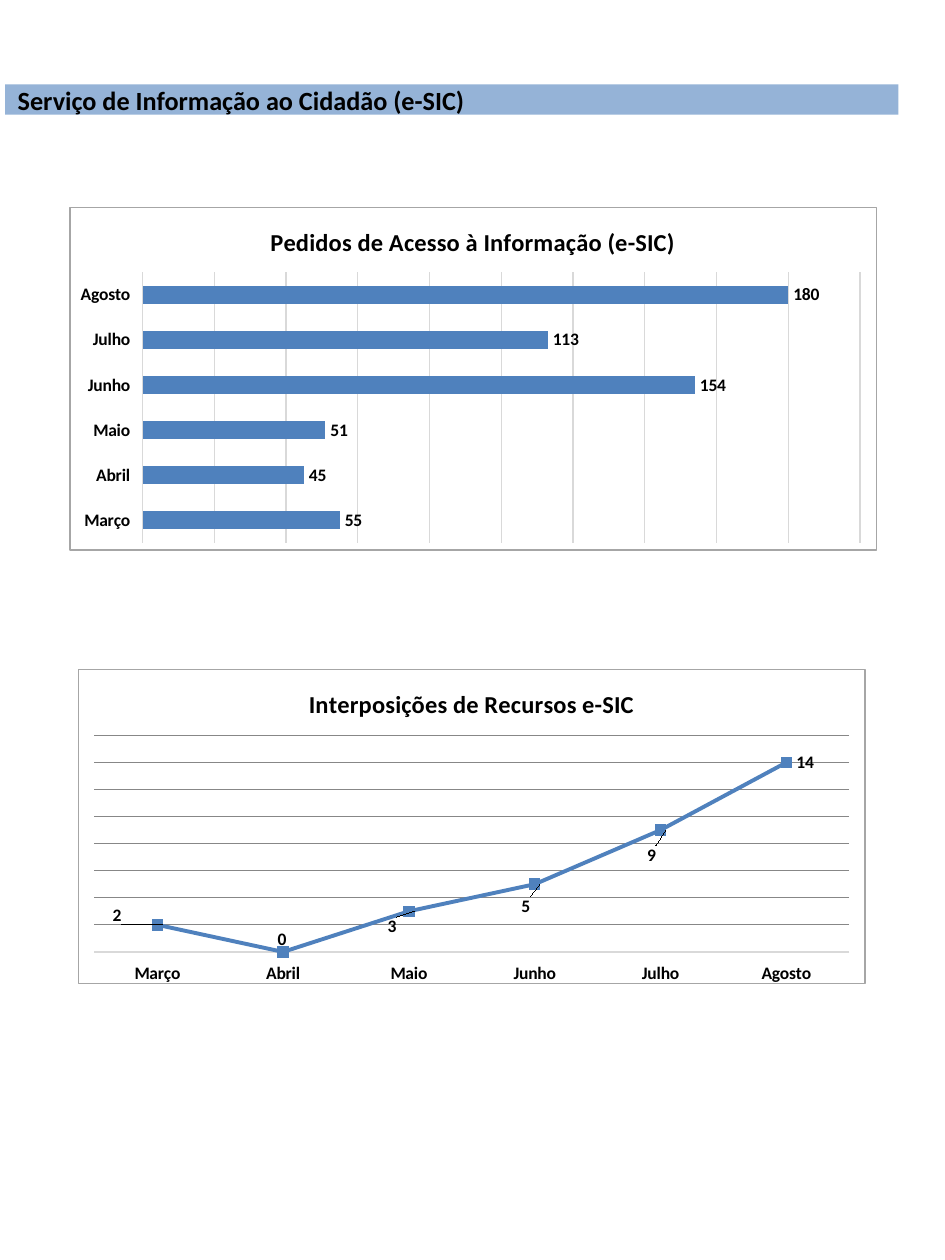
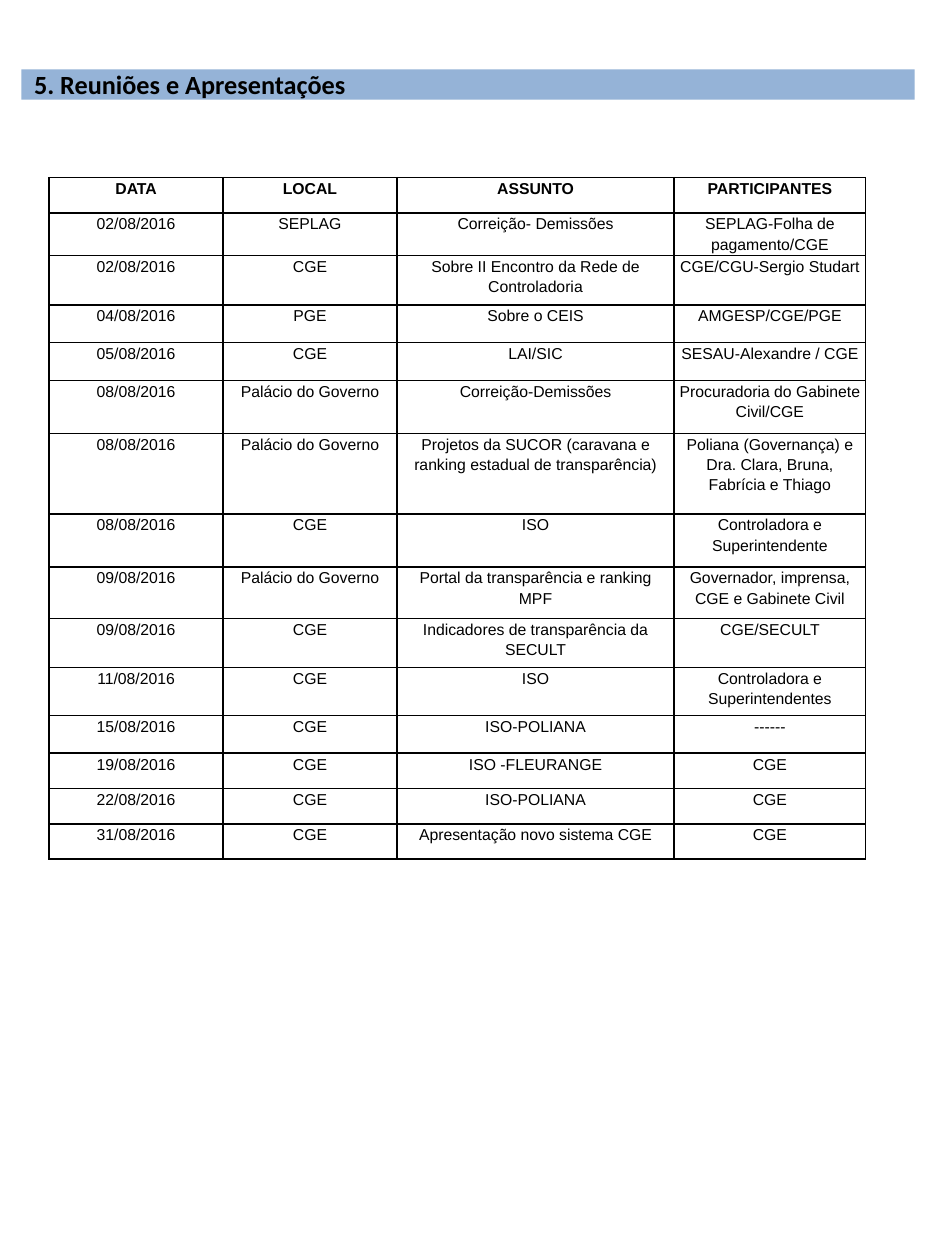
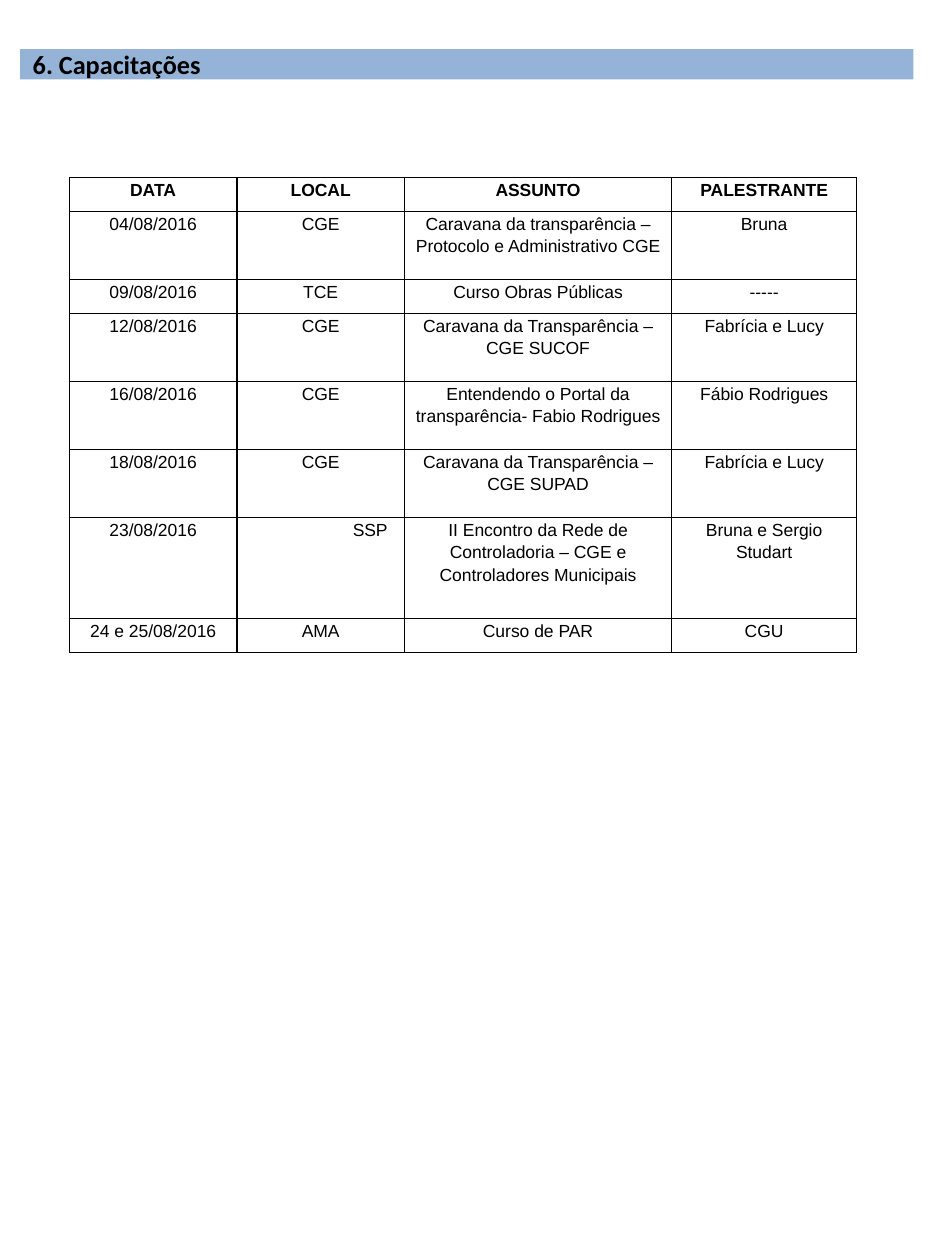
from dataclasses import dataclass, field
from typing import Any

from lxml.etree import SubElement
from pptx import Presentation
from pptx.chart.data import CategoryChartData
from pptx.dml.color import RGBColor
from pptx.enum.chart import XL_CHART_TYPE as ChartType
from pptx.enum.chart import XL_LABEL_POSITION as LabelPosition
from pptx.enum.chart import XL_MARKER_STYLE as MarkerStyle
from pptx.enum.chart import XL_TICK_LABEL_POSITION as TickLabels
from pptx.enum.chart import XL_TICK_MARK as TickMark
from pptx.enum.text import MSO_ANCHOR as Anchor
from pptx.enum.text import MSO_AUTO_SIZE as AutoSize
from pptx.enum.text import PP_ALIGN as Align
from pptx.oxml import parse_xml
from pptx.oxml.ns import nsdecls, qn
from pptx.util import Inches, Pt

COLORS = {"text": "000000", "band": "95B3D7", "series": "4F81BD", "paper": "FFFFFF",
          "frame": "A6A6A6", "pale": "D9D9D9", "grid": "878787"}
HEADING_FONT, TABLE_FONT = "Calibri", "Arial"
WIDTH, HEIGHT = Inches(7.5), Inches(10)
COLUMN, ROW = WIDTH / 75, HEIGHT / 100
BAND_WIDTH, BAND_HEIGHT = 70.9, 2.4
TITLE_ONLY = 5
MONTHS = ["Março", "Abril", "Maio", "Junho", "Julho", "Agosto"]


@dataclass
class Box:
    """A rectangle in grid columns and rows."""
    left: float
    top: float
    width: float
    height: float

    def lengths(self) -> tuple[int, int, int, int]:
        return (round(self.left * COLUMN), round(self.top * ROW),
                round(self.width * COLUMN), round(self.height * ROW))


@dataclass
class ChartSpec:
    """Plot is in shares of the chart; label_shifts move labels from the right of a point."""
    kind: ChartType
    title: str
    values: list[int]
    box: Box
    plot: Box
    maximum: int
    step: int
    grid: str
    axis_line: str | None = None
    label_shifts: list[tuple[float, float]] = field(default_factory=list)


@dataclass
class TableSpec:
    left: float
    top: float
    columns: list[float]
    rows: list[float]
    size: int
    cells: list[list[str]]
    left_indents: dict[str, float] = field(default_factory=dict)


def rgb(name: str) -> RGBColor:
    return RGBColor.from_string(COLORS[name])


def format_font(font: Any, size: float, name: str = HEADING_FONT, bold: bool = True) -> None:
    font.name, font.size, font.bold = name, Pt(size), bold
    font.color.rgb = rgb("text")


def write(frame: Any, text: str, *, size: float, font: str = HEADING_FONT, bold: bool = True,
          align: Align = Align.LEFT, line_spacing: float | None = None,
          space_after: float = 0) -> None:
    paragraph = frame.paragraphs[0]
    paragraph.alignment = align
    paragraph.line_spacing = line_spacing
    paragraph.space_after = Pt(space_after)
    run = paragraph.add_run()
    run.text = text
    format_font(run.font, size, font, bold)


def add_titled_slide(presentation: Any, title: str, left: float, top: float) -> Any:
    slide = presentation.slides.add_slide(presentation.slide_layouts[TITLE_ONLY])
    band = slide.shapes.title
    band.left, band.top, band.width, band.height = Box(
        left, top, BAND_WIDTH, BAND_HEIGHT).lengths()
    band.fill.solid()
    band.fill.fore_color.rgb = rgb("band")
    frame = band.text_frame
    frame.auto_size, frame.vertical_anchor = AutoSize.NONE, Anchor.MIDDLE
    frame.word_wrap = True
    write(frame, title, size=15)
    return slide


def manual_layout(inner: bool = False, **values: float) -> Any:
    layout = parse_xml(f"<c:layout {nsdecls('c')}><c:manualLayout/></c:layout>")
    settings = {"layoutTarget": "inner", "xMode": "edge", "yMode": "edge"} if inner else {}
    for tag, value in {**settings, **values}.items():
        SubElement(layout[0], qn(f"c:{tag}")).set("val", str(value))
    return layout


def place_plot(chart: Any, plot: Box) -> None:
    area = chart.element.find(".//" + qn("c:plotArea"))
    for layout in area.findall(qn("c:layout")):
        area.remove(layout)
    area.insert(0, manual_layout(True, x=plot.left, y=plot.top, w=plot.width, h=plot.height))


def frame_chart(chart: Any) -> None:
    chart.element.find(qn("c:chart")).addnext(parse_xml(
        f"<c:spPr {nsdecls('c', 'a')}>"
        f'<a:solidFill><a:srgbClr val="{COLORS["paper"]}"/></a:solidFill>'
        f'<a:ln w="{Pt(0.75)}"><a:solidFill><a:srgbClr val="{COLORS["frame"]}"/>'
        "</a:solidFill></a:ln></c:spPr>"))


def format_axes(chart: Any, spec: ChartSpec) -> None:
    categories, values = chart.category_axis, chart.value_axis
    categories.major_tick_mark = categories.minor_tick_mark = TickMark.NONE
    categories.tick_label_position = TickLabels.LOW
    categories.has_major_gridlines = False
    format_font(categories.tick_labels.font, 10)
    if spec.axis_line:
        categories.format.line.color.rgb = rgb(spec.axis_line)
        categories.format.line.width = Pt(0.75)
    else:
        categories.format.line.fill.background()
    values.visible = False
    values.minimum_scale, values.maximum_scale = 0, spec.maximum
    values.major_unit = spec.step
    values.has_major_gridlines = True
    values.major_gridlines.format.line.color.rgb = rgb(spec.grid)
    values.major_gridlines.format.line.width = Pt(0.75)


def format_series(chart: Any, spec: ChartSpec) -> None:
    plot, series = chart.plots[0], chart.plots[0].series[0]
    plot.vary_by_categories = False
    labels = series.data_labels
    labels.show_value = True
    format_font(labels.font, 10)
    if spec.kind == ChartType.BAR_CLUSTERED:
        plot.gap_width = 150
        labels.position = LabelPosition.OUTSIDE_END
        series.format.fill.solid()
        series.format.fill.fore_color.rgb = rgb("series")
        return
    labels.position = LabelPosition.RIGHT
    series.smooth = False
    series.format.line.color.rgb = rgb("series")
    series.format.line.width = Pt(2.25)
    marker = series.marker
    marker.style, marker.size = MarkerStyle.SQUARE, 6
    marker.format.fill.solid()
    marker.format.fill.fore_color.rgb = rgb("series")
    marker.format.line.color.rgb = rgb("series")
    for index, (x, y) in enumerate(spec.label_shifts):
        label = series.points[index].data_label
        label.position = LabelPosition.RIGHT
        format_font(label.font, 10)
        element = labels._element.findall(qn("c:dLbl"))[index]
        element.insert(1, manual_layout(x=x, y=y))


def add_chart(slide: Any, spec: ChartSpec) -> None:
    data = CategoryChartData()
    data.categories = MONTHS
    data.add_series(spec.title, spec.values)
    chart = slide.shapes.add_chart(spec.kind, *spec.box.lengths(), data).chart
    chart.has_legend = False
    format_font(chart.font, 10, bold=False)
    chart.has_title = True
    write(chart.chart_title.text_frame, spec.title, size=14, align=Align.CENTER)
    chart.chart_title.include_in_layout = False
    format_axes(chart, spec)
    format_series(chart, spec)
    place_plot(chart, spec.plot)
    frame_chart(chart)


def format_cell(cell: Any) -> None:
    cell.margin_left = cell.margin_right = Inches(0.04)
    cell.margin_top = cell.margin_bottom = 0
    properties = cell._tc.get_or_add_tcPr()
    for side in "LRTB":
        properties.append(parse_xml(
            f'<a:ln{side} {nsdecls("a")} w="{Pt(1)}"><a:solidFill>'
            f'<a:srgbClr val="{COLORS["text"]}"/></a:solidFill></a:ln{side}>'))
    cell.fill.background()


def add_table(slide: Any, spec: TableSpec) -> None:
    box = Box(spec.left, spec.top, sum(spec.columns), sum(spec.rows))
    table = slide.shapes.add_table(len(spec.rows), len(spec.columns), *box.lengths()).table
    table.first_row = table.horz_banding = False
    for column, width in zip(table.columns, spec.columns):
        column.width = round(width * COLUMN)
    for row, height in zip(table.rows, spec.rows):
        row.height = round(height * ROW)
    for row_index, texts in enumerate(spec.cells):
        for column_index, text in enumerate(texts):
            cell = table.cell(row_index, column_index)
            format_cell(cell)
            indent = spec.left_indents.get(text)
            if indent:
                cell.margin_left = round(indent * COLUMN)
            write(cell.text_frame, text, size=spec.size, font=TABLE_FONT, bold=row_index == 0,
                  align=Align.LEFT if indent else Align.CENTER,
                  line_spacing=1.15, space_after=10)


CHARTS = [
    ChartSpec(ChartType.BAR_CLUSTERED, "Pedidos de Acesso à Informação (e-SIC)",
              [55, 45, 51, 154, 113, 180], Box(5.5, 16.4, 64.1, 27.3),
              Box(0.09, 0.19, 0.89, 0.79), maximum=200, step=20, grid="pale"),
    ChartSpec(ChartType.LINE_MARKERS, "Interposições de Recursos e-SIC",
              [2, 0, 3, 5, 9, 14], Box(6.2, 53.1, 62.5, 25),
              Box(0.02, 0.21, 0.96, 0.69), maximum=16, step=2, grid="grid", axis_line="pale",
              label_shifts=[(-0.07, -0.03), (-0.02, -0.04), (-0.04, 0.05),
                            (-0.03, 0.07), (-0.03, 0.08)]),
]

MEETINGS = TableSpec(
    3.9, 14.1, [13.8, 13.8, 22, 15.2],
    [2.8, 3.4, 3.9, 3, 3, 4.2, 6.4, 4.2, 4.1, 3.9, 3.8, 3, 2.8, 2.8, 2.8], 9,
    [
        ["DATA", "LOCAL", "ASSUNTO", "PARTICIPANTES"],
        ["02/08/2016", "SEPLAG", "Correição- Demissões", "SEPLAG-Folha de pagamento/CGE"],
        ["02/08/2016", "CGE", "Sobre II Encontro da Rede de Controladoria",
         "CGE/CGU-Sergio Studart"],
        ["04/08/2016", "PGE", "Sobre o CEIS", "AMGESP/CGE/PGE"],
        ["05/08/2016", "CGE", "LAI/SIC", "SESAU-Alexandre / CGE"],
        ["08/08/2016", "Palácio do Governo", "Correição-Demissões",
         "Procuradoria do Gabinete Civil/CGE"],
        ["08/08/2016", "Palácio do Governo",
         "Projetos da SUCOR (caravana e ranking estadual de transparência)",
         "Poliana (Governança) e Dra. Clara, Bruna, Fabrícia e Thiago"],
        ["08/08/2016", "CGE", "ISO", "Controladora e Superintendente"],
        ["09/08/2016", "Palácio do Governo", "Portal da transparência e ranking MPF",
         "Governador, imprensa, CGE e Gabinete Civil"],
        ["09/08/2016", "CGE", "Indicadores de transparência da SECULT", "CGE/SECULT"],
        ["11/08/2016", "CGE", "ISO", "Controladora e Superintendentes"],
        ["15/08/2016", "CGE", "ISO-POLIANA", "------"],
        ["19/08/2016", "CGE", "ISO -FLEURANGE", "CGE"],
        ["22/08/2016", "CGE", "ISO-POLIANA", "CGE"],
        ["31/08/2016", "CGE", "Apresentação novo sistema CGE", "CGE"],
    ])

TRAININGS = TableSpec(
    5.5, 14.1, [13.3, 13.3, 21.2, 14.7],
    [2.7, 5.4, 2.7, 5.4, 5.4, 5.4, 8, 2.7], 10,
    [
        ["DATA", "LOCAL", "ASSUNTO", "PALESTRANTE"],
        ["04/08/2016", "CGE", "Caravana da transparência – Protocolo e Administrativo CGE",
         "Bruna"],
        ["09/08/2016", "TCE", "Curso Obras Públicas", "-----"],
        ["12/08/2016", "CGE", "Caravana da Transparência – CGE SUCOF", "Fabrícia e Lucy"],
        ["16/08/2016", "CGE", "Entendendo o Portal da transparência- Fabio Rodrigues",
         "Fábio Rodrigues"],
        ["18/08/2016", "CGE", "Caravana da Transparência – CGE SUPAD", "Fabrícia e Lucy"],
        ["23/08/2016", "SSP",
         "II Encontro da Rede de Controladoria – CGE e Controladores Municipais",
         "Bruna e Sergio Studart"],
        ["24 e 25/08/2016", "AMA", "Curso de PAR", "CGU"],
    ],
    left_indents={"SSP": 9.2})


def main() -> None:
    presentation = Presentation()
    presentation.slide_width, presentation.slide_height = WIDTH, HEIGHT
    requests = add_titled_slide(
        presentation, "Serviço de Informação ao Cidadão (e-SIC)", 0.4, 6.7)
    for chart in CHARTS:
        add_chart(requests, chart)
    add_table(add_titled_slide(presentation, "5. Reuniões e Apresentações", 1.7, 5.5), MEETINGS)
    add_table(add_titled_slide(presentation, "6. Capacitações", 1.6, 3.9), TRAININGS)
    presentation.save("out.pptx")


if __name__ == "__main__":
    main()
